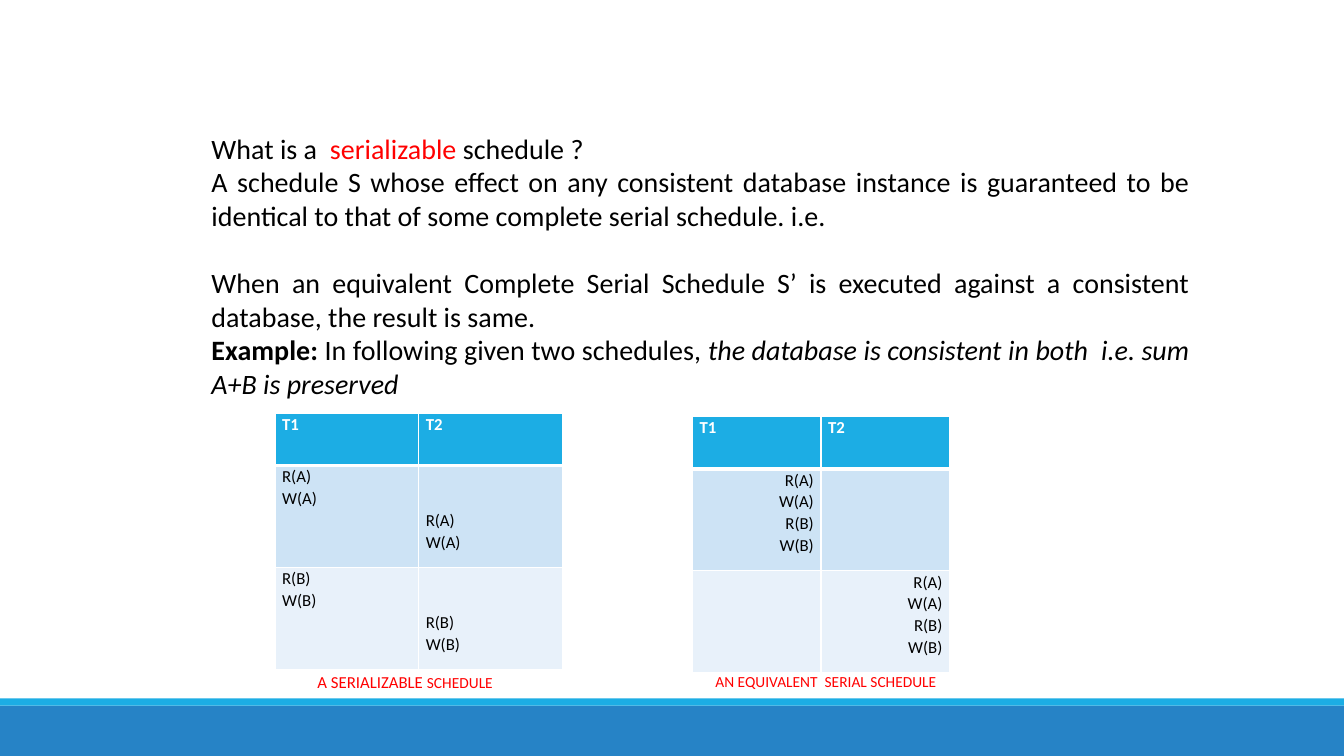
from lxml import etree
from pptx import Presentation
from pptx.dml.color import RGBColor
from pptx.enum.shapes import MSO_SHAPE
from pptx.enum.text import PP_ALIGN
from pptx.oxml.ns import qn
from pptx.util import Cm, Pt

RECTANGLE = MSO_SHAPE.RECTANGLE
LEFT, RIGHT, JUSTIFY = PP_ALIGN.LEFT, PP_ALIGN.RIGHT, PP_ALIGN.JUSTIFY

BLACK = RGBColor(0x00, 0x00, 0x00)
WHITE = RGBColor(0xFF, 0xFF, 0xFF)
RED = RGBColor(0xFF, 0x00, 0x00)
CYAN = RGBColor(0x1C, 0xAD, 0xE4)
BLUE = RGBColor(0x26, 0x83, 0xC6)
ROW_FILLS = (CYAN, RGBColor(0xCD, 0xE3, 0xF5), RGBColor(0xE8, 0xF1, 0xFA))

FONT = "Calibri"
PAGE_WIDTH, PAGE_HEIGHT = 33.87, 19.05
ROW_HEIGHTS = (1.32, 2.57, 2.57)
LATE_START = 1.09  # two lines of cell text

READ_WRITE_A = ("R(A)", "W(A)")
READ_WRITE_B = ("R(B)", "W(B)")
ALL_STEPS = READ_WRITE_A + READ_WRITE_B


def add_span(para, text, size, color=BLACK, bold=False, italic=False):
    span = para.add_run()
    span.text = text
    font = span.font
    font.name, font.size, font.bold, font.italic = FONT, Pt(size), bold, italic
    font.color.rgb = color


def fill_paragraphs(frame, count):
    """Yield the first paragraph of the frame, then new ones up to count."""
    yield frame.paragraphs[0]
    for _ in range(count - 1):
        yield frame.add_paragraph()


def add_footer_bands(page, top, stripe, height):
    for color, y, depth in ((BLUE, top + stripe, height - stripe), (CYAN, top, stripe)):
        band = page.shapes.add_shape(RECTANGLE, 0, Cm(y), Cm(PAGE_WIDTH), Cm(depth))
        band.shadow.inherit = False
        band.fill.solid()
        band.fill.fore_color.rgb = color
        band.line.fill.background()


def add_definition(page, left, top, width, height):
    box = page.shapes.add_textbox(Cm(left), Cm(top), Cm(width), Cm(height))
    frame = box.text_frame
    frame.word_wrap = True
    content = (
        (LEFT, 0, (("What is a ", {}), (" serializable ", {"color": RED}),
                   ("schedule ?", {}))),
        (JUSTIFY, 0, (("A schedule S whose effect on any consistent database "
                       "instance is guaranteed to be identical to that of some "
                       "complete serial schedule. i.e.", {}),)),
        (JUSTIFY, 24, (("When an equivalent Complete Serial Schedule S’ is "
                        "executed against a consistent database, the result "
                        "is same.", {}),)),
        (JUSTIFY, 0, (("Example: ", {"bold": True}),
                      ("In following given two schedules, ", {}),
                      ("the database is consistent in both  i.e. sum A+B is "
                       "preserved", {"italic": True}))),
    )
    paragraphs = fill_paragraphs(frame, len(content))
    for para, (align, gap, spans) in zip(paragraphs, content):
        para.alignment = align
        if gap:
            para.space_before = Pt(gap)
        for text, style in spans:
            add_span(para, text, 20, **style)


def set_borders(cell, widths):
    """Draw white cell borders; widths maps each side's tag to points."""
    properties = cell._tc.get_or_add_tcPr()
    for tag, width in widths.items():
        line = etree.SubElement(properties, qn(f"a:{tag}"), w=str(Pt(width)))
        fill = etree.SubElement(line, qn("a:solidFill"))
        etree.SubElement(fill, qn("a:srgbClr"), val=str(WHITE))


def fill_cell(cell, lines, align, color, bold):
    frame = cell.text_frame
    for para, line in zip(fill_paragraphs(frame, len(lines)), lines):
        para.alignment = align
        para.line_spacing = 1.07
        add_span(para, line, 12, color, bold)


def add_schedule(page, left, top, column_width, steps, align, late_column=None):
    """Place a two-transaction table; late_column starts two lines lower."""
    rows = ((("T1",), ("T2",)),) + steps
    frame = page.shapes.add_table(len(rows), 2, Cm(left), Cm(top),
                                  Cm(2 * column_width), Cm(sum(ROW_HEIGHTS)))
    table = frame.table
    for column in table.columns:
        column.width = Cm(column_width)
    for r, row in enumerate(rows):
        table.rows[r].height = Cm(ROW_HEIGHTS[r])
        header = r == 0
        for c, lines in enumerate(row):
            cell = table.cell(r, c)
            late = c == late_column and not header
            cell.margin_left = cell.margin_right = Cm(0.18)
            cell.margin_top = Cm(LATE_START if late else 0)
            cell.margin_bottom = 0
            set_borders(cell, {"lnL": 1, "lnR": 1, "lnT": 3 if r == 1 else 1,
                               "lnB": 3 if header else 1})
            cell.fill.solid()
            cell.fill.fore_color.rgb = ROW_FILLS[r]
            fill_cell(cell, lines, LEFT if header else align,
                      WHITE if header else BLACK, header)


def add_caption(page, left, top, width, height, spans):
    box = page.shapes.add_textbox(Cm(left), Cm(top), Cm(width), Cm(height))
    box.text_frame.word_wrap = False
    for text, size in spans:
        add_span(box.text_frame.paragraphs[0], text, size, RED)


def build_schedule_slide(deck):
    page = deck.slides.add_slide(deck.slide_layouts[6])
    add_footer_bands(page, 17.6, 0.18, PAGE_HEIGHT - 17.6)
    add_definition(page, 5.08, 3.18, 25.15, 7.09)
    add_schedule(page, 6.93, 10.41, 3.62,
                 ((READ_WRITE_A, READ_WRITE_A), (READ_WRITE_B, READ_WRITE_B)),
                 LEFT, late_column=1)
    add_schedule(page, 17.45, 10.49, 3.24,
                 ((ALL_STEPS, ()), ((), ALL_STEPS)), RIGHT)
    add_caption(page, 7.75, 16.81, 4.98, 0.76,
                (("A SERIALIZABLE ", 12), ("SCHEDULE", 11)))
    add_caption(page, 17.78, 16.81, 6.15, 0.74,
                (("AN EQUIVALENT  SERIAL SCHEDULE", 11),))


def main():
    deck = Presentation()
    deck.slide_width, deck.slide_height = Cm(PAGE_WIDTH), Cm(PAGE_HEIGHT)
    build_schedule_slide(deck)
    deck.save("out.pptx")


if __name__ == "__main__":
    main()
